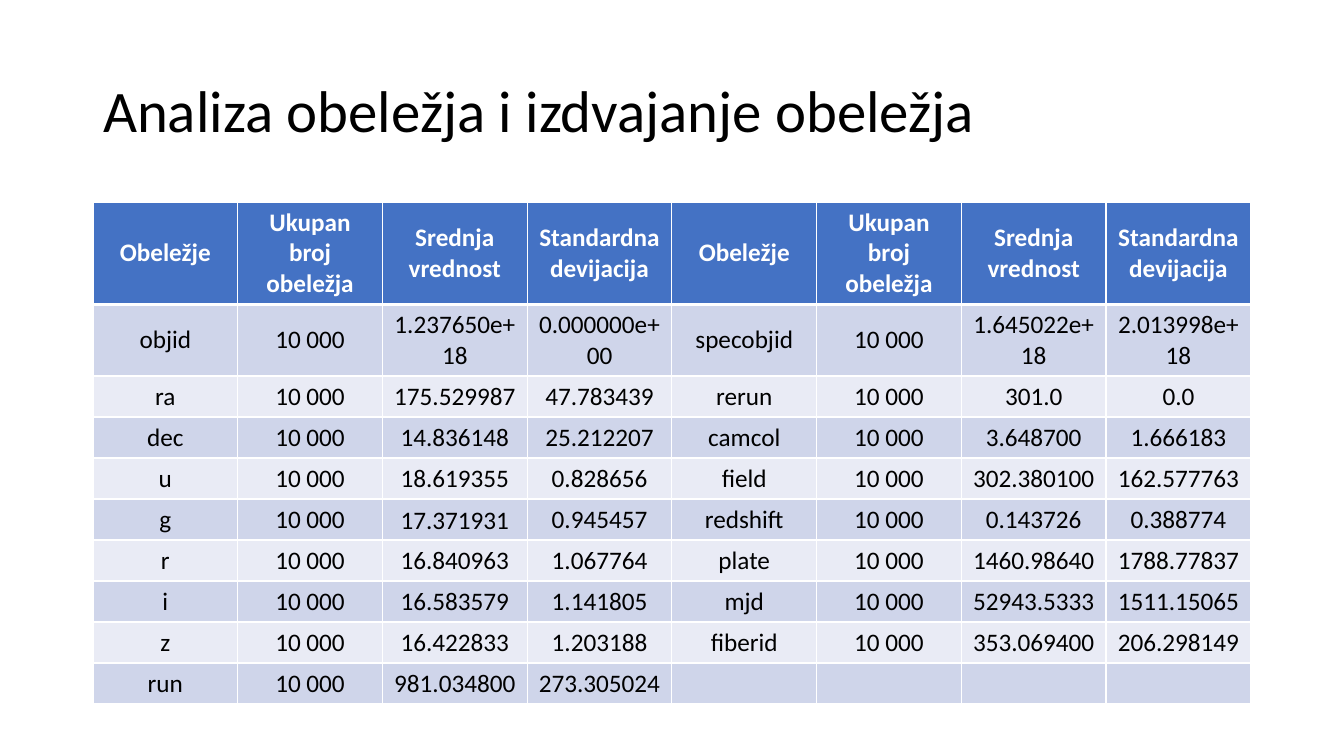
from pptx import Presentation
from pptx.dml.color import RGBColor
from pptx.enum.text import MSO_ANCHOR, MSO_AUTO_SIZE, PP_ALIGN
from pptx.oxml import parse_xml
from pptx.oxml.ns import nsdecls
from pptx.util import Emu, Pt

EMU_PER_PX = 914400 / 100.8
FONT = "Calibri"
BLACK = RGBColor(0x00, 0x00, 0x00)
WHITE = RGBColor(0xFF, 0xFF, 0xFF)
HEADER_BLUE = RGBColor(0x44, 0x72, 0xC4)
BAND_DARK = RGBColor(0xCF, 0xD5, 0xEA)
BAND_LIGHT = RGBColor(0xE9, 0xEB, 0xF5)

COUNT = "10 000"
HEADINGS = ["Obeležje", "Ukupan broj obeležja", "Srednja vrednost", "Standardna devijacija"]
# Feature, mean, standard deviation
LEFT_FEATURES = [
    ("objid", "1.237650e+18", "0.000000e+00"),
    ("ra", "175.529987", "47.783439"),
    ("dec", "14.836148", "25.212207"),
    ("u", "18.619355", "0.828656"),
    ("g", "17.371931", "0.945457"),
    ("r", "16.840963", "1.067764"),
    ("i", "16.583579", "1.141805"),
    ("z", "16.422833", "1.203188"),
    ("run", "981.034800", "273.305024"),
]
RIGHT_FEATURES = [
    ("specobjid", "1.645022e+18", "2.013998e+18"),
    ("rerun", "301.0", "0.0"),
    ("camcol", "3.648700", "1.666183"),
    ("field", "302.380100", "162.577763"),
    ("redshift", "0.143726", "0.388774"),
    ("plate", "1460.98640", "1788.77837"),
    ("mjd", "52943.5333", "1511.15065"),
    ("fiberid", "353.069400", "206.298149"),
]
LOOSE_CELL = (5, 2)  # mean of g, spaced like body text


def px(n):
    return Emu(round(n * EMU_PER_PX))


def add_run(p, text, size, color, bold=False):
    r = p.add_run()
    r.text = text
    r.font.name = FONT
    r.font.size = Pt(size)
    r.font.bold = bold
    r.font.color.rgb = color


def set_title(s, text):
    sp = s.shapes.title
    sp.left, sp.top, sp.width, sp.height = px(93), px(40), px(1159), px(146)
    tf = sp.text_frame
    tf.word_wrap = True
    tf.auto_size = MSO_AUTO_SIZE.NONE
    tf.vertical_anchor = MSO_ANCHOR.MIDDLE
    p = tf.paragraphs[0]
    p.alignment = PP_ALIGN.LEFT
    p.line_spacing = 0.9
    add_run(p, text, 42, BLACK)


def set_borders(cell, top=1, bottom=1):
    tc_pr = cell._tc.get_or_add_tcPr()
    widths = {"lnL": 1, "lnR": 1, "lnT": top, "lnB": bottom}
    for i, (side, width) in enumerate(widths.items()):
        tc_pr.insert(i, parse_xml(
            f'<a:{side} {nsdecls("a")} w="{Pt(width)}"><a:solidFill>'
            f'<a:srgbClr val="{WHITE}"/></a:solidFill></a:{side}>'))


def fill_cell(cell, text, fill, color, bold):
    cell.fill.solid()
    cell.fill.fore_color.rgb = fill
    cell.vertical_anchor = MSO_ANCHOR.MIDDLE
    p = cell.text_frame.paragraphs[0]
    p.alignment = PP_ALIGN.CENTER
    if text:
        add_run(p, text, 18, color, bold)


def loosen_cell(cell):
    cell.margin_left = cell.margin_right = px(7)
    cell.margin_top = cell.margin_bottom = 0
    p = cell.text_frame.paragraphs[0]
    p.line_spacing = 1.07
    p.space_after = Pt(8)


def feature_cells(features, i):
    if i >= len(features):
        return [""] * len(HEADINGS)
    name, mean, deviation = features[i]
    return [name, COUNT, mean, deviation]


def add_feature_table(s):
    rows = [HEADINGS * 2]
    for i in range(len(LEFT_FEATURES)):
        rows.append(feature_cells(LEFT_FEATURES, i) + feature_cells(RIGHT_FEATURES, i))

    frame = s.shapes.add_table(len(rows), len(rows[0]), px(93), px(202), px(1158), px(498))
    table = frame.table
    for i, row in enumerate(rows):
        table.rows[i].height = px(41)
        header = i == 0
        band = BAND_DARK if i % 2 else BAND_LIGHT
        for j, text in enumerate(row):
            cell = table.cell(i, j)
            fill_cell(cell, text, HEADER_BLUE if header else band,
                      WHITE if header else BLACK, header)
            set_borders(cell, top=3 if i == 1 else 1, bottom=3 if header else 1)
    loosen_cell(table.cell(*LOOSE_CELL))
    frame.height = px(498)


def main():
    prs = Presentation()
    prs.slide_width, prs.slide_height = px(1344), px(756)
    s = prs.slides.add_slide(prs.slide_layouts[5])
    set_title(s, "Analiza obeležja i izdvajanje obeležja")
    add_feature_table(s)
    prs.save("out.pptx")


main()
